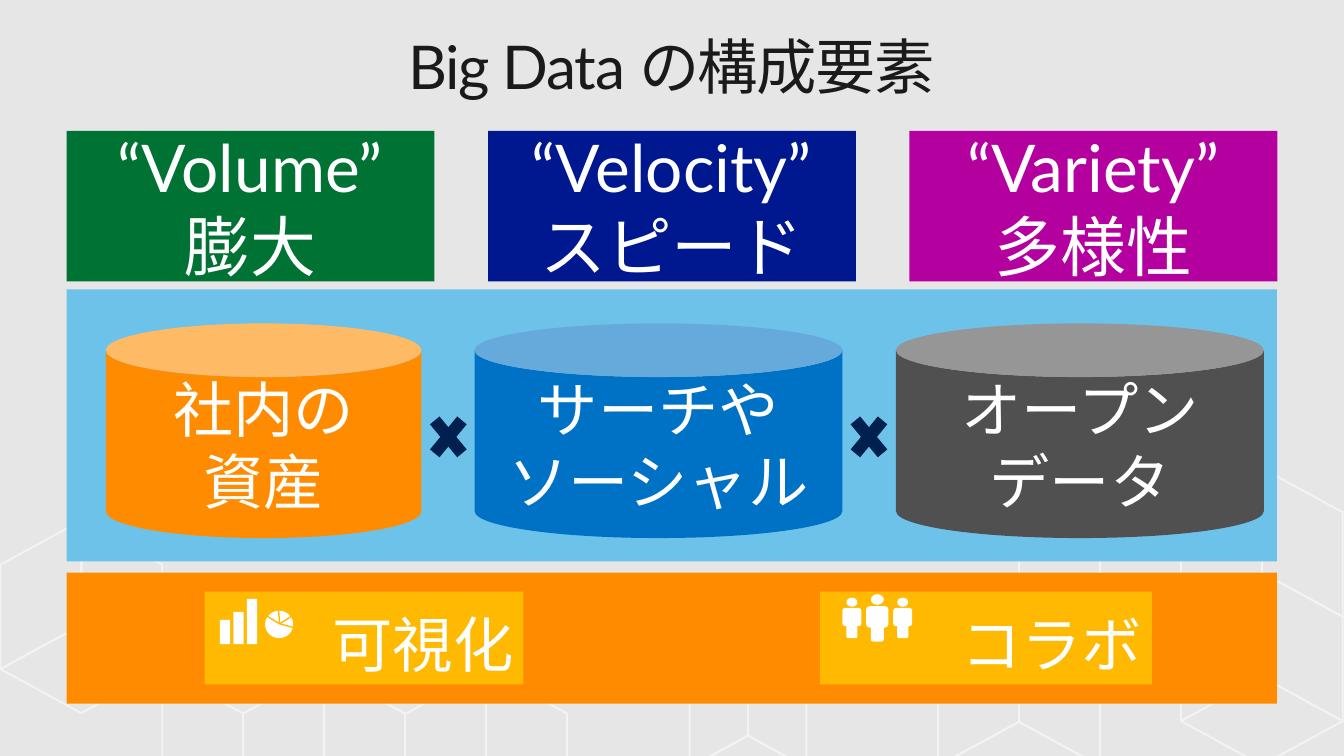
from lxml import etree
from pptx import Presentation
from pptx.dml.color import RGBColor
from pptx.enum import shapes, text
from pptx.oxml import ns
from pptx.util import Cm, Pt

BACKDROP = RGBColor(0xE6, 0xE6, 0xE6)
HEXAGON = RGBColor(0xF3, 0xF3, 0xF3)
INK = RGBColor(0x1A, 0x1A, 0x1A)
WHITE = RGBColor(0xFF, 0xFF, 0xFF)
SKY = RGBColor(0x6D, 0xC2, 0xE9)
GREEN = RGBColor(0x00, 0x72, 0x33)
NAVY = RGBColor(0x00, 0x18, 0x8F)
PURPLE = RGBColor(0xB4, 0x00, 0x9E)
ORANGE = RGBColor(0xFF, 0x8C, 0x00)
BLUE = RGBColor(0x00, 0x72, 0xC6)
GREY = RGBColor(0x50, 0x50, 0x50)
MIDNIGHT = RGBColor(0x00, 0x20, 0x50)
AMBER = RGBColor(0xFF, 0xB9, 0x00)

SHAPE = shapes.MSO_SHAPE
ALIGN = text.PP_ALIGN
ANCHOR = text.MSO_ANCHOR

presentation = Presentation()
presentation.slide_width = Cm(33.87)
presentation.slide_height = Cm(19.05)
slide = presentation.slides.add_slide(presentation.slide_layouts[6])
slide.background.fill.solid()
slide.background.fill.fore_color.rgb = BACKDROP


def add_block(kind, left, top, width, height, color):
    """Add a flat preset shape without line or shadow; lengths in cm."""
    shape = slide.shapes.add_shape(kind, Cm(left), Cm(top), Cm(width), Cm(height))
    shape.shadow.inherit = False
    shape.fill.solid()
    shape.fill.fore_color.rgb = color
    shape.line.fill.background()
    return shape


def write(shape, lines, size, color=WHITE, align=ALIGN.CENTER, anchor=ANCHOR.MIDDLE):
    """Fill a shape with one paragraph per line."""
    frame = shape.text_frame
    frame.word_wrap = True
    frame.vertical_anchor = anchor
    for number, line in enumerate(lines):
        paragraph = frame.add_paragraph() if number else frame.paragraphs[0]
        paragraph.alignment = align
        run = paragraph.add_run()
        run.text = line
        run.font.name = "Lato"
        run.font.size = Pt(size)
        run.font.color.rgb = color


# Background cubes: corner where the faces meet, scale, and faces drawn
half, rise, edge = 2.04, 1.11, 2.63
faces = {
    "left": [(0, 0), (-half, rise), (-half, rise - edge), (0, -edge)],
    "right": [(0, 0), (half, rise), (half, rise - edge), (0, -edge)],
    "floor": [(0, 0), (-half, rise), (0, 2 * rise), (half, rise)],
}
cubes = [
    (25.68, 18.19, 1, ["left", "right", "floor"]),
    (27.72, 14.43, 1, ["left", "right", "floor"]),
    (31.8, 17.06, 1, ["left", "right", "floor"]),
    (31.8, 14.43, 1, ["right"]),
    (2.05, 15.75, 1, ["left", "right", "floor"]),
    (4.09, 19.5, 1, ["right"]),
    (8.17, 19.5, 1, ["left", "right"]),
    (10.22, 15.77, 1, ["floor"]),
    (12.25, 19.5, 1, ["right"]),
    (18.85, 18.54, 0.72, ["left", "right", "floor"]),
]
for x, y, scale, names in cubes:
    for name in names:
        corners = [(Cm(x + dx * scale), Cm(y + dy * scale)) for dx, dy in faces[name]]
        builder = slide.shapes.build_freeform(*corners[0], scale=1.0)
        builder.add_line_segments(corners[1:], close=True)
        face = builder.convert_to_shape()
        face.shadow.inherit = False
        face.fill.background()
        face.line.color.rgb = HEXAGON
        face.line.width = Pt(1.38)

title = slide.shapes.add_textbox(Cm(0.74), Cm(0.51), Cm(32.39), Cm(2.49))
write(title, ["Big Data の構成要素"], 43.1, INK)
title.text_frame.margin_left = title.text_frame.margin_right = Cm(0.41)
title.text_frame.margin_top = title.text_frame.margin_bottom = Cm(0.25)
title_paragraph = title.text_frame.paragraphs[0]
title_paragraph.line_spacing = 0.9
title_paragraph.runs[0]._r.get_or_add_rPr().set("spc", "-100")

# The three Vs
panel_left, panel_width = 1.68, 30.5
column_step, column_width = 10.62, 9.27
add_block(SHAPE.RECTANGLE, panel_left, 7.29, panel_width, 6.86, SKY)
headings = [
    (["“Volume”", "膨大"], GREEN),
    (["“Velocity”", "スピード"], NAVY),
    (["“Variety”", "多様性"], PURPLE),
]
for column, (lines, color) in enumerate(headings):
    left = panel_left + column * column_step
    write(add_block(SHAPE.RECTANGLE, left, 3.3, column_width, 3.79, color), lines, 47)

# Data stores, multiplied together
stores = [
    (2.67, 7.95, ["社内の", "資産"], ORANGE),
    (11.96, column_width, ["サーチや", "ソーシャル"], BLUE),
    (22.58, column_width, ["オープン", "データ"], GREY),
]
for left, width, lines, color in stores:
    write(add_block(SHAPE.CAN, left, 8.15, width, 5.41, color), lines, 43.1)
for left in (10.64, 21.24):
    add_block(SHAPE.MATH_MULTIPLY, left, 10.21, 1.32, 1.6, MIDNIGHT)

# Uses of the data
add_block(SHAPE.RECTANGLE, panel_left, 14.43, panel_width, 3.3, ORANGE)
for left, width, label in [(20.67, 8.36, "コラボ"), (5.16, 8.03, "可視化")]:
    tile = add_block(SHAPE.RECTANGLE, left, 14.91, width, 2.34, AMBER)
    write(tile, [label], 43.1, align=ALIGN.RIGHT, anchor=ANCHOR.BOTTOM)

# People icon: head, torso and legs of each person
person_middle = 15.58
for center, scale in [(21.47, 1), (22.11, 1.17), (22.75, 1)]:
    for kind, offset, width, height in [
        (SHAPE.OVAL, -0.52, 0.28, 0.23),
        (SHAPE.ROUNDED_RECTANGLE, -0.26, 0.48, 0.46),
        (SHAPE.ROUNDED_RECTANGLE, 0, 0.28, 0.5),
    ]:
        add_block(kind, center - width * scale / 2, person_middle + offset * scale,
                  width * scale, height * scale, WHITE)

# Bar and pie icon
bar_base = 16.23
for number, height in enumerate([0.61, 0.81, 1.14]):
    add_block(SHAPE.RECTANGLE, 5.54 + number * 0.34, bar_base - height, 0.26, height, WHITE)
add_block(SHAPE.OVAL, 6.68, 15.39, 0.71, 0.69, WHITE)
for x, y in [(6.72, 15.52), (7.02, 15.39), (7.36, 15.52), (7.39, 15.81)]:
    cut = slide.shapes.add_connector(
        shapes.MSO_CONNECTOR.STRAIGHT, Cm(7.05), Cm(15.72), Cm(x), Cm(y))
    cut.line.color.rgb = AMBER
    cut.line.width = Pt(1)
    etree.SubElement(cut._element.spPr, ns.qn("a:effectLst"))

presentation.save("out.pptx")
